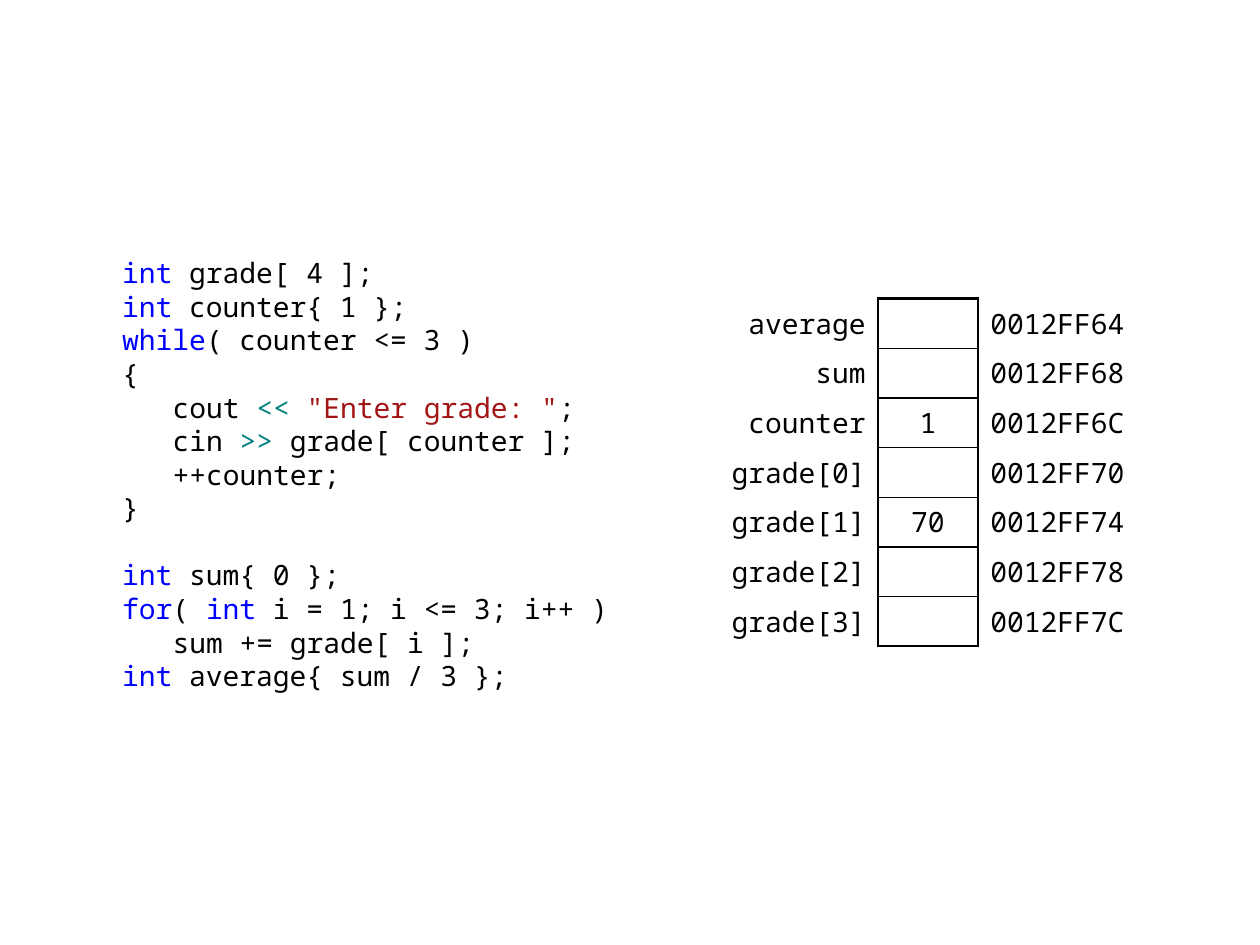
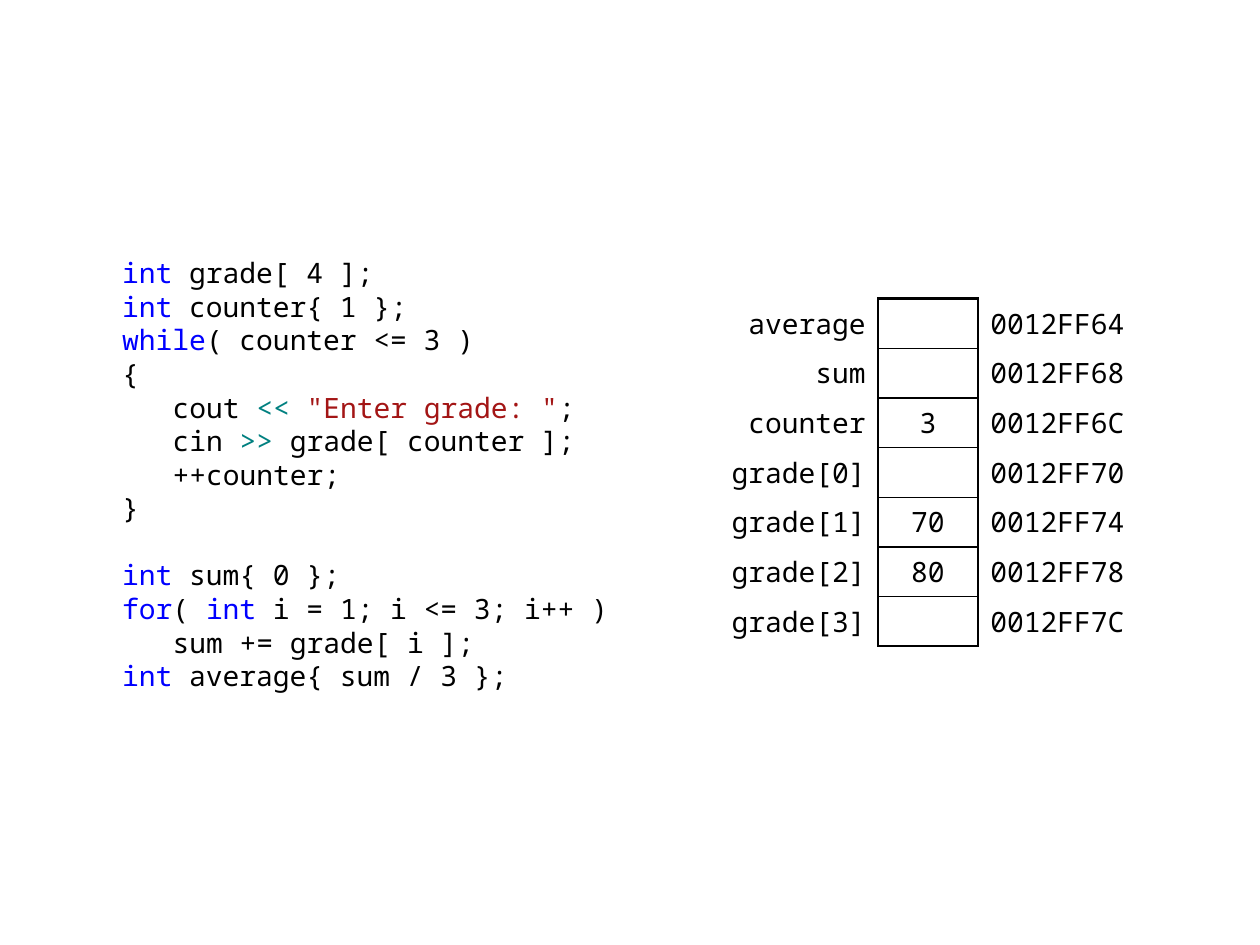
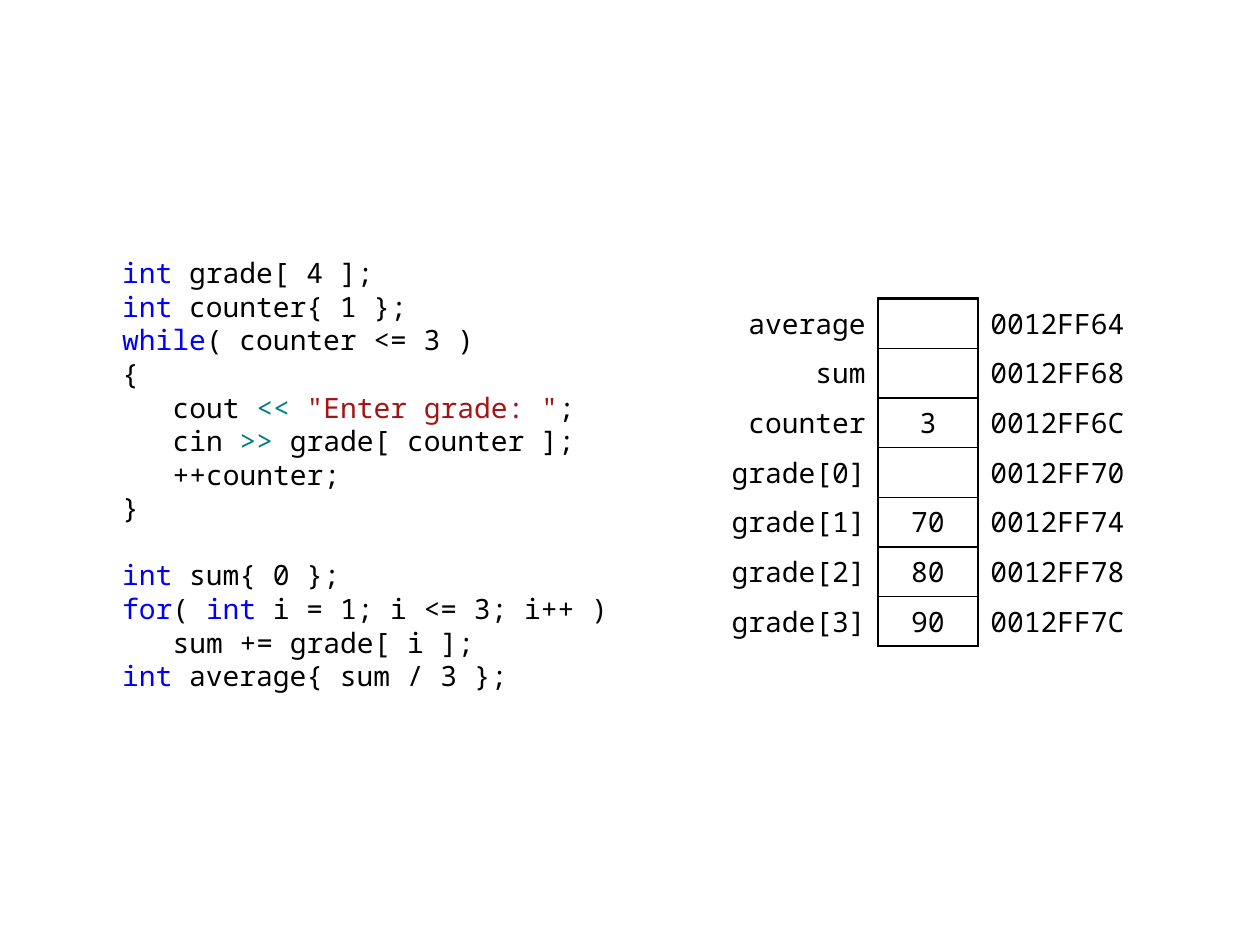
import dataclasses

import pptx
import pptx.dml.color
import pptx.enum.text
import pptx.oxml.ns
import pptx.util
from lxml import etree
from pptx.util import Inches

ALIGN = pptx.enum.text.PP_ALIGN
ANCHOR = pptx.enum.text.MSO_ANCHOR


@dataclasses.dataclass(frozen=True)
class Theme:
    font: str = "Noto Sans Mono"
    size: float = 16
    line_pitch: float = 19.2
    plain: str = "000000"
    keyword: str = "0000FF"
    operator: str = "008080"
    string: str = "A31515"
    border: str = "000000"
    outer_width: float = 1.5
    inner_width: float = 1


THEME = Theme()
INDENT = Inches(0.4)

# Each block is a list of lines; a line is an indent level and its coloured pieces.
CODE_BLOCKS = [
    [
        (0, [("int ", THEME.keyword), ("grade[ 4 ];", THEME.plain)]),
        (0, [("int ", THEME.keyword), ("counter{ 1 };", THEME.plain)]),
        (0, [("while", THEME.keyword), ("( counter <= 3 )", THEME.plain)]),
        (0, [("{", THEME.plain)]),
        (1, [("cout ", THEME.plain), ("<< ", THEME.operator),
             ('"Enter grade: "', THEME.string), (";", THEME.plain)]),
        (1, [("cin ", THEME.plain), (">>", THEME.operator),
             (" grade[ counter ];", THEME.plain)]),
        (1, [("++counter;", THEME.plain)]),
        (0, [("}", THEME.plain)]),
    ],
    [
        (0, [("int ", THEME.keyword), ("sum{ 0 };", THEME.plain)]),
        (0, [("for", THEME.keyword), ("( ", THEME.plain),
             ("int", THEME.keyword), (" i = 1; i <= 3; i++ )", THEME.plain)]),
        (1, [("sum += grade[ i ];", THEME.plain)]),
        (0, [("int ", THEME.keyword), ("average{ sum / 3 };", THEME.plain)]),
    ],
]

VARIABLES = ["average", "sum", "counter"] + [f"grade[{i}]" for i in range(4)]
FIRST_ADDRESS = 0x0012FF64
INT_BYTES = 4
COLUMN_WIDTHS = [1.38, 0.79, 1.38]
COLUMN_ALIGN = [ALIGN.RIGHT, ALIGN.CENTER, ALIGN.LEFT]

MEMORY_STATES = [
    {"counter": "1", "grade[1]": "70"},
    {"counter": "3", "grade[1]": "70", "grade[2]": "80"},
    {"counter": "3", "grade[1]": "70", "grade[2]": "80", "grade[3]": "90"},
]


def format_run(r, color=THEME.plain):
    r.font.name = THEME.font
    r.font.size = pptx.util.Pt(THEME.size)
    r.font.color.rgb = pptx.dml.color.RGBColor.from_string(color)


def add_code_line(p, level, pieces, starts_block):
    pitch = pptx.util.Pt(THEME.line_pitch)
    p.line_spacing = pitch
    p.space_before = pitch if starts_block else 0
    p.space_after = 0
    pPr = p._p.get_or_add_pPr()
    pPr.set("marL", str(level * INDENT))
    pPr.set("indent", "0")
    etree.SubElement(pPr, pptx.oxml.ns.qn("a:buNone"))
    for text, color in pieces:
        r = p.add_run()
        r.text = text
        format_run(r, color)


def fill_code(body):
    body.left, body.top = Inches(0.87), Inches(1.98)
    body.width, body.height = Inches(4.13), Inches(3.54)
    tf = body.text_frame
    tf.word_wrap = True
    tf.auto_size = pptx.enum.text.MSO_AUTO_SIZE.NONE
    tf.vertical_anchor = ANCHOR.TOP
    p = tf.paragraphs[0]
    for b, block in enumerate(CODE_BLOCKS):
        for i, (level, pieces) in enumerate(block):
            if b or i:
                p = tf.add_paragraph()
            add_code_line(p, level, pieces, starts_block=b > 0 and i == 0)


def set_borders(cell, widths):
    """Draw the left, right, top and bottom edges; a width of 0 hides an edge."""
    qn = pptx.oxml.ns.qn
    tcPr = cell._tc.get_or_add_tcPr()
    for side, width in zip("LRTB", widths):
        ln = etree.SubElement(tcPr, qn(f"a:ln{side}"))
        if width:
            ln.set("w", str(pptx.util.Pt(width)))
            fill = etree.SubElement(ln, qn("a:solidFill"))
            etree.SubElement(fill, qn("a:srgbClr")).set("val", THEME.border)
        else:
            etree.SubElement(ln, qn("a:noFill"))


def border_widths(row, column):
    """Only the value column is boxed; its neighbours share its side edges."""
    outer, inner = THEME.outer_width, THEME.inner_width
    if column == 0:
        return 0, outer, 0, 0
    if column == 2:
        return outer, 0, 0, 0
    top = outer if row == 0 else inner
    bottom = outer if row == len(VARIABLES) - 1 else inner
    return outer, outer, top, bottom


def fill_cell(cell, text, row, column):
    set_borders(cell, border_widths(row, column))
    cell.fill.background()
    cell.vertical_anchor = ANCHOR.MIDDLE
    cell.margin_left = Inches(0.1)
    cell.margin_right = Inches(0.08 if column == 2 else 0.1)
    cell.margin_top = cell.margin_bottom = Inches(0.04)
    if text:
        cell.text_frame.text = text
        p = cell.text_frame.paragraphs[0]
        p.alignment = COLUMN_ALIGN[column]
        format_run(p.runs[0])


def add_memory_table(slide, values):
    table = slide.shapes.add_table(
        len(VARIABLES), len(COLUMN_WIDTHS), Inches(5.59), Inches(2.37),
        Inches(sum(COLUMN_WIDTHS)), Inches(2.76)).table
    table.first_row = table.horz_banding = False
    for column, width in zip(table.columns, COLUMN_WIDTHS):
        column.width = Inches(width)
    for row, name in enumerate(VARIABLES):
        address = f"{FIRST_ADDRESS + row * INT_BYTES:08X}"
        for column, text in enumerate([name, values.get(name, ""), address]):
            fill_cell(table.cell(row, column), text, row, column)


def add_memory_slide(prs, values):
    slide = prs.slides.add_slide(prs.slide_layouts.get_by_name("Title and Content"))
    title = slide.shapes.title
    title._element.getparent().remove(title._element)
    fill_code(slide.placeholders[1])
    add_memory_table(slide, values)


def main():
    prs = pptx.Presentation()
    prs.slide_width, prs.slide_height = Inches(10), Inches(7.5)
    for values in MEMORY_STATES:
        add_memory_slide(prs, values)
    prs.save("out.pptx")


if __name__ == "__main__":
    main()
